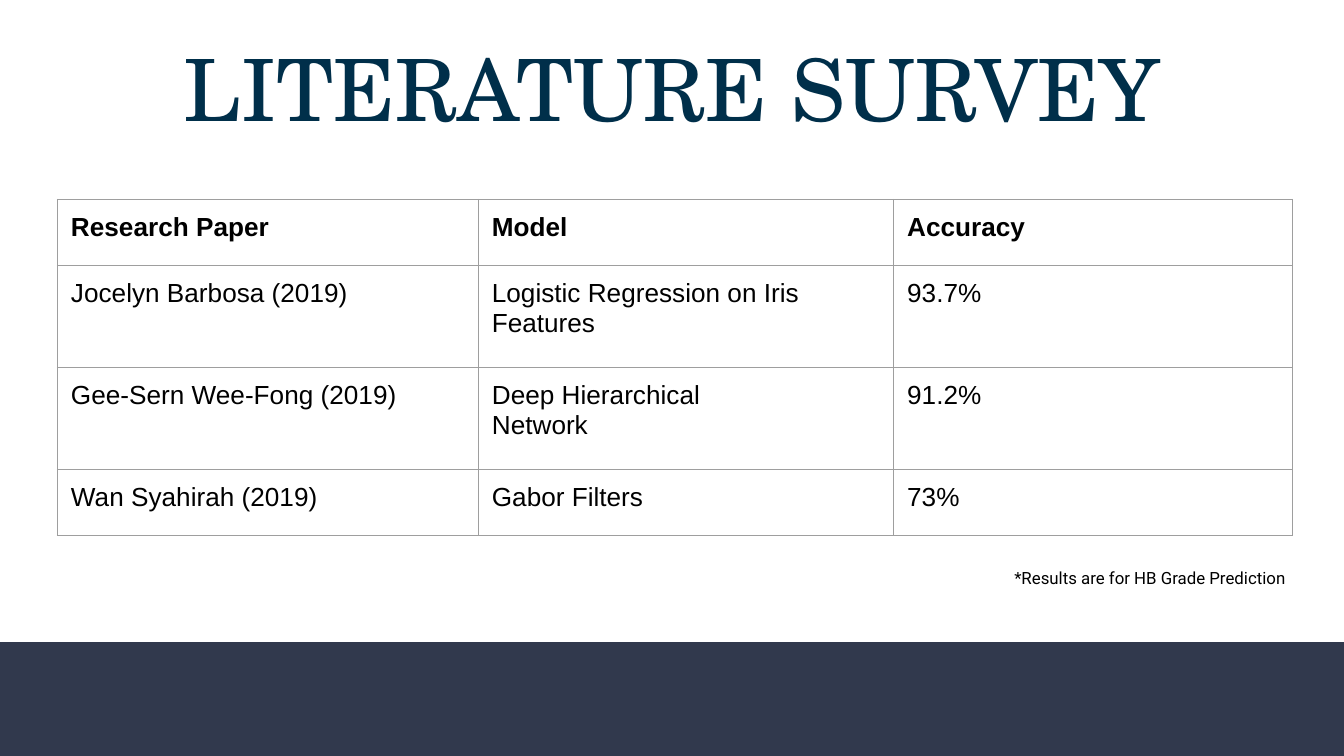
from lxml import etree
from pptx import Presentation
from pptx.dml.color import RGBColor
from pptx.enum.shapes import MSO_SHAPE
from pptx.enum.text import MSO_ANCHOR, PP_ALIGN
from pptx.oxml.ns import qn
from pptx.util import Pt

RECTANGLE = MSO_SHAPE.RECTANGLE
TOP, MIDDLE = MSO_ANCHOR.TOP, MSO_ANCHOR.MIDDLE
LEFT, CENTER, RIGHT = PP_ALIGN.LEFT, PP_ALIGN.CENTER, PP_ALIGN.RIGHT

HEADING = "LITERATURE SURVEY"
SURVEY = [
    ("Research Paper", "Model", "Accuracy"),
    ("Jocelyn Barbosa (2019)", "Logistic Regression on Iris Features", "93.7%"),
    ("Gee-Sern Wee-Fong (2019)", "Deep Hierarchical\nNetwork", "91.2%"),
    ("Wan Syahirah (2019)", "Gabor Filters", "73%"),
]
FOOTNOTE = "*Results are for HB Grade Prediction"

SLIDE_WIDTH, SLIDE_HEIGHT = 720, 405
BAND_HEIGHT = 61
INSET = 7.2
COLUMN_WIDTHS = [225.5, 222.5, 213.5]
ROW_HEIGHTS = [35.4, 54.6, 54.6, 35.4]
SURVEY_LEFT, SURVEY_TOP = 30.8, 106.9
BORDER_WIDTH = 0.75

HEADING_FONT = {"name": "TeX Gyre Schola", "size": Pt(46)}
HEADER_FONT = {"name": "Arial", "size": Pt(14), "bold": True}
BODY_FONT = {"name": "Arial", "size": Pt(14), "bold": False}
FOOTNOTE_FONT = {"name": "Roboto", "size": Pt(9)}
MARGINS = {f"margin_{side}": Pt(INSET) for side in ("left", "top", "right", "bottom")}


def rgb(value):
    return RGBColor.from_string(value)


def apply(target, values):
    for name, value in values.items():
        setattr(target, name, value)


def write(frame, text, font, color, align):
    frame.text = text
    frame.word_wrap = True
    for paragraph in frame.paragraphs:
        paragraph.alignment = align
        for run in paragraph.runs:
            apply(run.font, font)
            run.font.color.rgb = rgb(color)


def add_text(slide, box, text, font, color, align, anchor):
    frame = slide.shapes.add_textbox(*map(Pt, box)).text_frame
    apply(frame, {**MARGINS, "vertical_anchor": anchor})
    write(frame, text, font, color, align)


def add_borders(cell, color):
    properties = cell._tc.get_or_add_tcPr()
    for position, side in enumerate(("lnL", "lnR", "lnT", "lnB")):
        line = etree.Element(qn(f"a:{side}"), w=str(Pt(BORDER_WIDTH)))
        fill = etree.SubElement(line, qn("a:solidFill"))
        etree.SubElement(fill, qn("a:srgbClr"), val=color)
        properties.insert(position, line)


def add_survey(slide):
    table = slide.shapes.add_table(
        len(SURVEY), len(COLUMN_WIDTHS), Pt(SURVEY_LEFT), Pt(SURVEY_TOP),
        Pt(sum(COLUMN_WIDTHS)), Pt(sum(ROW_HEIGHTS))).table
    apply(table, {"first_row": False, "horz_banding": False})
    for column, width in zip(table.columns, COLUMN_WIDTHS):
        column.width = Pt(width)
    for index, (row, height, texts) in enumerate(zip(table.rows, ROW_HEIGHTS, SURVEY)):
        row.height = Pt(height)
        font = BODY_FONT if index else HEADER_FONT
        for cell, text in zip(row.cells, texts):
            apply(cell, MARGINS)
            cell.fill.background()
            write(cell.text_frame, text, font, "000000", LEFT)
            add_borders(cell, "9E9E9E")


def main():
    deck = Presentation()
    deck.slide_width, deck.slide_height = Pt(SLIDE_WIDTH), Pt(SLIDE_HEIGHT)
    slide = deck.slides.add_slide(deck.slide_layouts[6])
    band = slide.shapes.add_shape(
        RECTANGLE, 0, Pt(SLIDE_HEIGHT - BAND_HEIGHT), Pt(SLIDE_WIDTH), Pt(BAND_HEIGHT))
    band.shadow.inherit = False
    band.fill.solid()
    band.fill.fore_color.rgb = rgb("31394D")
    band.line.fill.background()
    add_text(slide, (24.5, 5, 671, 83), HEADING, HEADING_FONT, "002F4A", CENTER, MIDDLE)
    add_survey(slide)
    add_text(slide, (442, 298.8, 253.5, 25.2), FOOTNOTE, FOOTNOTE_FONT, "000000", RIGHT, TOP)
    deck.save("out.pptx")


if __name__ == "__main__":
    main()
